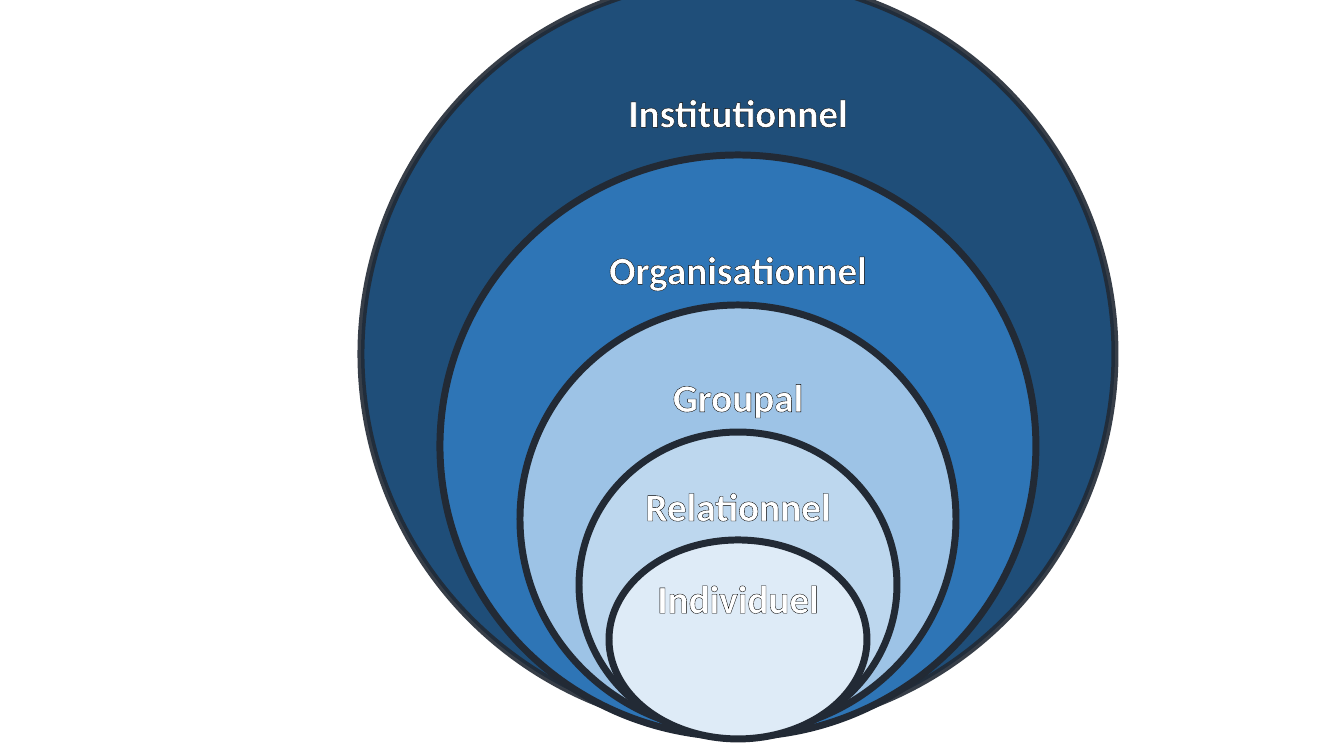
"""Nested circles showing five levels, from the individual to the institution."""
from dataclasses import dataclass
from typing import Any

import lxml.etree
import pptx
import pptx.dml.color
import pptx.enum.shapes
import pptx.enum.text
import pptx.oxml.ns
import pptx.util

EMU_PER_PIXEL = 914400 / 100.8
CENTRE_X = 738
RIM_COLOUR = "222A35"

LABEL_FRAME = {
    "word_wrap": True,
    "vertical_anchor": pptx.enum.text.MSO_ANCHOR.TOP,
}
LABEL_FONT = {"name": "Calibri", "size": pptx.util.Pt(28), "bold": True}


@dataclass(frozen=True)
class Level:
    """One ellipse centred on the common vertical axis, in pixels."""

    label: str
    top: int
    width: int
    height: int
    colour: str
    label_inset: int = 5
    rim_opacity: int = 100


LEVELS = [
    Level("Institutionnel", -22, 754, 752, "1F4E79", label_inset=0, rim_opacity=90),
    Level("Organisationnel", 155, 596, 582, "2E75B6"),
    Level("Groupal", 305, 436, 428, "9DC3E6"),
    Level("Relationnel", 432, 318, 306, "BDD7EE"),
    Level("Individuel", 540, 258, 199, "DEEBF7"),
]


def px(pixels: float) -> int:
    """Turn pixels into EMU."""
    return round(pixels * EMU_PER_PIXEL)


def paint(fill: Any, colour: str) -> None:
    """Make a fill solid in a hex colour."""
    fill.solid()
    fill.fore_color.rgb = pptx.dml.color.RGBColor.from_string(colour)


def apply_format(target: Any, values: dict[str, Any]) -> None:
    """Set each format value on the target."""
    for name, value in values.items():
        setattr(target, name, value)


def add_child(parent: Any, tag: str, **attributes: str) -> Any:
    """Append a DrawingML element to its parent."""
    return lxml.etree.SubElement(parent, pptx.oxml.ns.qn(tag), attributes)


def outline_letters(font: Any, colour: str, width: float) -> None:
    """Draw a thin line around the letters."""
    properties = font._element
    outline = add_child(properties, "a:ln", w=str(pptx.util.Pt(width)))
    add_child(add_child(outline, "a:solidFill"), "a:srgbClr", val=colour)
    properties.insert(0, outline)


def draw_rim(ellipse: Any, opacity: int) -> None:
    """Draw the border of an ellipse."""
    paint(ellipse.line.fill, RIM_COLOUR)
    ellipse.line.width = pptx.util.Pt(5)
    if opacity < 100:
        rim = ellipse.line._ln.find(".//" + pptx.oxml.ns.qn("a:srgbClr"))
        add_child(rim, "a:alpha", val=str(opacity * 1000))


def write_label(ellipse: Any, level: Level) -> None:
    """Write the level's name near the top of its ellipse."""
    frame = ellipse.text_frame
    apply_format(frame, LABEL_FRAME | {"margin_top": px(level.label_inset)})
    paragraph = frame.paragraphs[0]
    paragraph.alignment = pptx.enum.text.PP_ALIGN.CENTER
    run = paragraph.add_run()
    run.text = level.label
    apply_format(run.font, LABEL_FONT)
    paint(run.font.fill, "FFFFFF")
    outline_letters(run.font, "000000", 0.75)


def draw_level(shapes: Any, level: Level) -> None:
    """Draw one level with its fill, border and label."""
    ellipse = shapes.add_shape(
        pptx.enum.shapes.MSO_SHAPE.OVAL,
        px(CENTRE_X - level.width / 2),
        px(level.top),
        px(level.width),
        px(level.height),
    )
    ellipse.shadow.inherit = False
    paint(ellipse.fill, level.colour)
    draw_rim(ellipse, level.rim_opacity)
    write_label(ellipse, level)


def main() -> None:
    """Build and save the slide."""
    deck = pptx.Presentation()
    deck.slide_width, deck.slide_height = px(1344), px(756)
    slide = deck.slides.add_slide(deck.slide_layouts[6])
    nested_levels = slide.shapes.add_group_shape()
    for level in LEVELS:
        draw_level(nested_levels.shapes, level)
    deck.save("out.pptx")


main()
